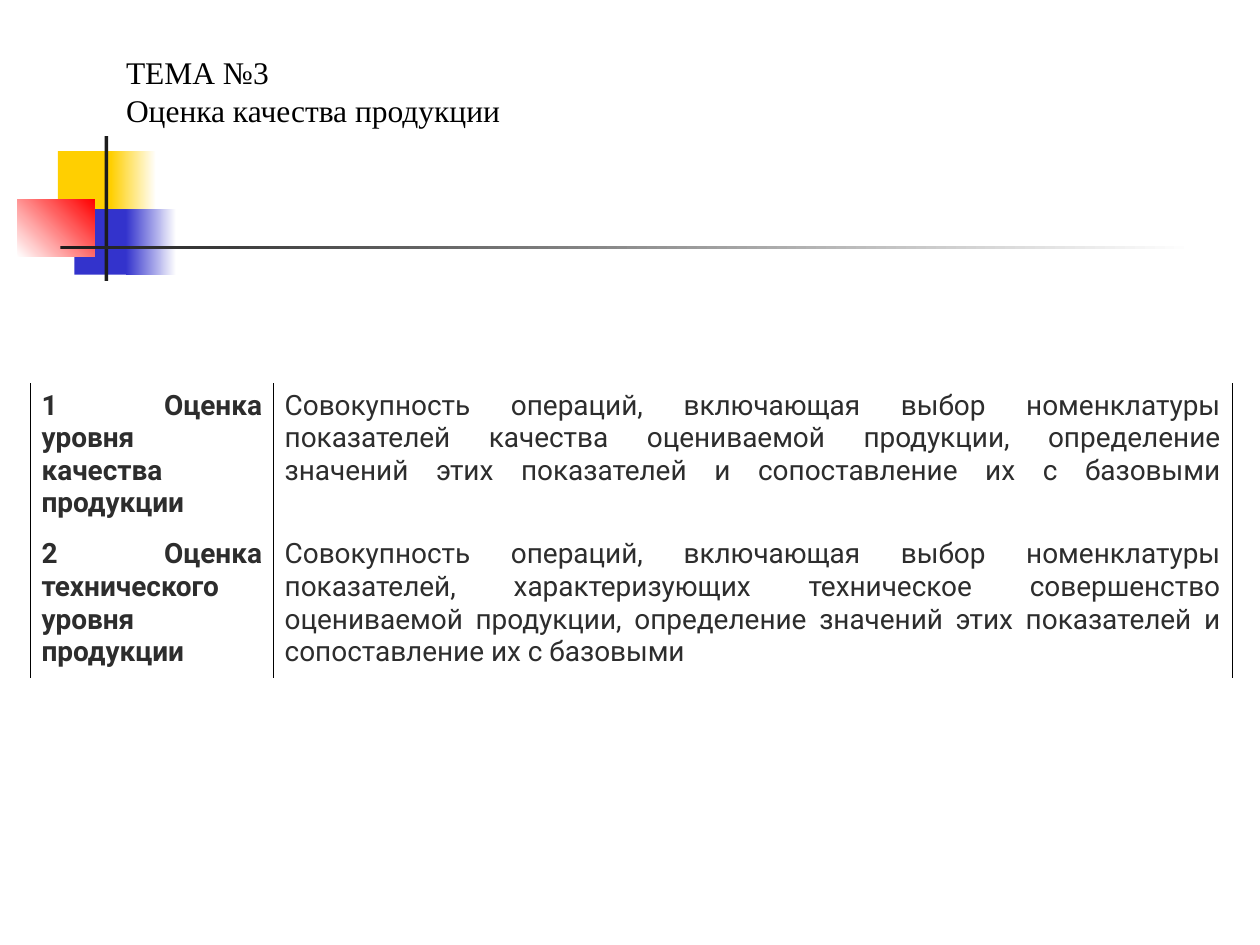
from pptx import Presentation
from pptx.dml.color import RGBColor
from pptx.enum.shapes import MSO_SHAPE
from pptx.enum.text import MSO_ANCHOR, MSO_AUTO_SIZE, PP_ALIGN
from pptx.oxml import parse_xml
from pptx.oxml.ns import nsdecls
from pptx.util import Inches, Pt

RECTANGLE = MSO_SHAPE.RECTANGLE
TOP = MSO_ANCHOR.TOP
NO_AUTOFIT = MSO_AUTO_SIZE.NONE
LEFT, JUSTIFY = PP_ALIGN.LEFT, PP_ALIGN.JUSTIFY

TITLE_ONLY_LAYOUT = 5
YELLOW, BLUE, RED = "FFCF01", "3333CC", "FF0000"
DARK, WHITE, BLACK, TEXT_GRAY = "1C1C1C", "FFFFFF", "000000", "2D2D2D"

TITLE_LINES = ["ТЕМА №3", "Оценка качества продукции"]
DEFINITIONS = [
    ("1 Оценка уровня качества продукции",
     "Совокупность операций, включающая выбор номенклатуры показателей "
     "качества оцениваемой продукции, определение значений этих показателей "
     "и сопоставление их с базовыми\v"),
    ("2 Оценка технического уровня продукции ",
     "Совокупность операций, включающая выбор номенклатуры показателей, "
     "характеризующих техническое совершенство оцениваемой продукции, "
     "определение значений этих показателей и сопоставление их с базовыми"),
]
COLUMN_WIDTHS = [1.93, 7.61]
ROW_HEIGHT = 1.16

# Left, top, width, height, start colour, end colour (None is plain), angle
ORNAMENT = [
    (0.46, 1.2, 0.48, 0.52, YELLOW, None, 0),
    (0.88, 1.2, 0.36, 0.52, YELLOW, WHITE, 0),
    (0.59, 1.66, 0.46, 0.52, BLUE, None, 0),
    (1, 1.66, 0.4, 0.52, BLUE, WHITE, 0),
    (0.14, 1.58, 0.61, 0.46, WHITE, RED, 45),
    (0.83, 1.08, 0.03, 1.15, DARK, None, 0),
    (0.48, 1.95, 9, 0.03, DARK, WHITE, 0),
]


def color(value):
    return RGBColor.from_string(value)


def write_text(paragraph, text, font="Roboto", size=16, fill=TEXT_GRAY,
               bold=False, align=JUSTIFY):
    paragraph.text = text
    paragraph.alignment = align
    for run in paragraph.runs:
        run.font.name = font
        run.font.size = Pt(size)
        run.font.bold = bold
        run.font.color.rgb = color(fill)


def add_block(slide, left, top, width, height, start, end, angle):
    shape = slide.shapes.add_shape(
        RECTANGLE, Inches(left), Inches(top), Inches(width), Inches(height))
    shape.shadow.inherit = False
    shape.line.fill.background()
    if end is None:
        shape.fill.solid()
        shape.fill.fore_color.rgb = color(start)
        return
    shape.fill.gradient()
    shape.fill.gradient_angle = angle
    for stop, value in zip(shape.fill.gradient_stops, (start, end)):
        stop.color.rgb = color(value)


def add_title(slide):
    title = slide.shapes.title
    title.left, title.top = Inches(0.9), Inches(0.37)
    title.width, title.height = Inches(8.74), Inches(1.5)
    frame = title.text_frame
    frame.word_wrap = False
    frame.auto_size = NO_AUTOFIT
    frame.vertical_anchor = TOP
    for index, line in enumerate(TITLE_LINES):
        paragraph = frame.add_paragraph() if index else frame.paragraphs[0]
        write_text(paragraph, line, font="Times New Roman", size=18,
                   fill=BLACK, align=LEFT)


def set_side_borders(cell):
    """Draw thin lines at the left and right of a cell, none above or below."""
    line = f'<a:solidFill><a:srgbClr val="{BLACK}"/></a:solidFill>'
    sides = {"lnL": line, "lnR": line, "lnT": "<a:noFill/>", "lnB": "<a:noFill/>"}
    properties = cell._tc.get_or_add_tcPr()
    for index, (side, content) in enumerate(sides.items()):
        properties.insert(index, parse_xml(
            f'<a:{side} {nsdecls("a")} w="{Pt(0.34)}">{content}</a:{side}>'))


def add_definitions(slide):
    table = slide.shapes.add_table(
        len(DEFINITIONS), len(COLUMN_WIDTHS), Inches(0.24), Inches(3.04),
        Inches(sum(COLUMN_WIDTHS)), Inches(ROW_HEIGHT * len(DEFINITIONS))).table
    table.first_row = table.horz_banding = False
    for column, width in zip(table.columns, COLUMN_WIDTHS):
        column.width = Inches(width)
    for row, texts in zip(table.rows, DEFINITIONS):
        row.height = Inches(ROW_HEIGHT)
        for index, (cell, text) in enumerate(zip(row.cells, texts)):
            cell.margin_left = cell.margin_right = Inches(0.09)
            cell.fill.solid()
            cell.fill.fore_color.rgb = color(WHITE)
            set_side_borders(cell)
            write_text(cell.text_frame.paragraphs[0], text, bold=index == 0)


def main():
    presentation = Presentation()
    presentation.slide_width, presentation.slide_height = Inches(10), Inches(7.5)
    slide = presentation.slides.add_slide(
        presentation.slide_layouts[TITLE_ONLY_LAYOUT])

    # Corner ornament with the fading rule
    for block in ORNAMENT:
        add_block(slide, *block)

    # Heading and table of terms
    add_title(slide)
    add_definitions(slide)
    presentation.save("out.pptx")


if __name__ == "__main__":
    main()
